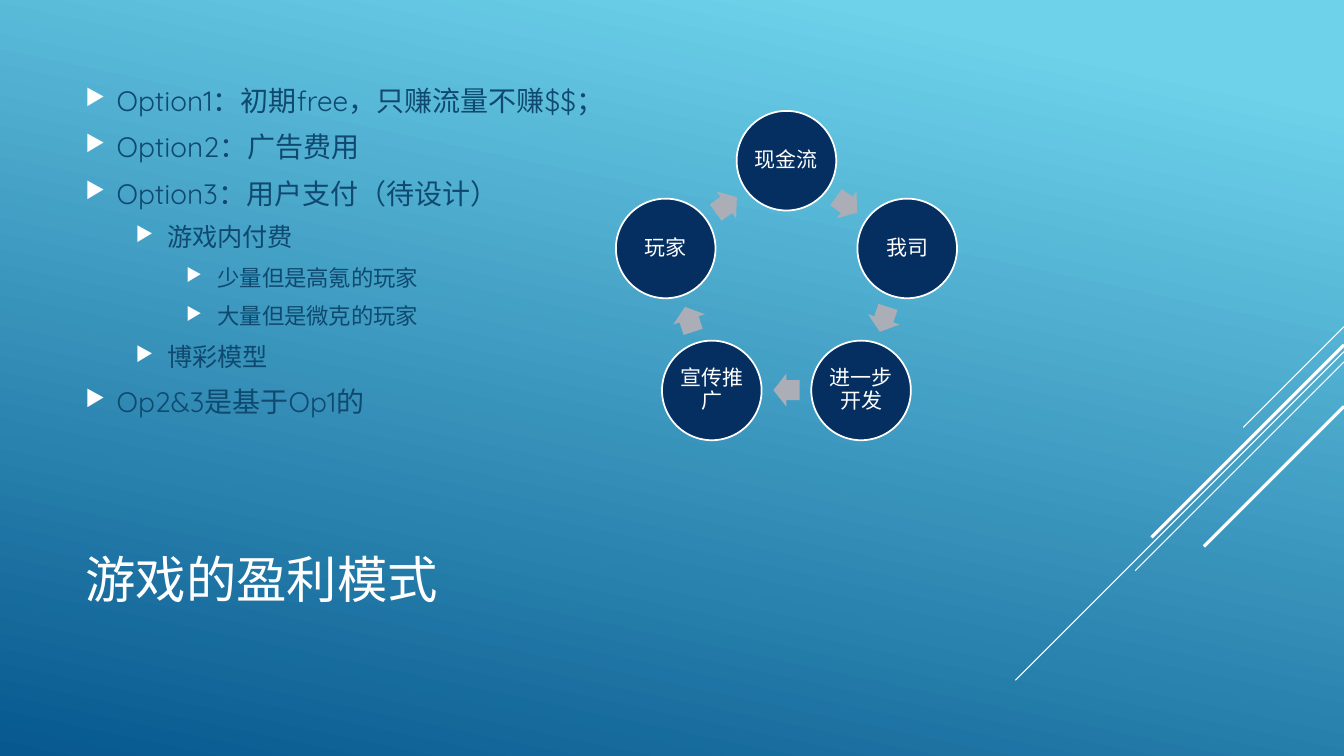
from math import cos, radians, sin

from lxml.etree import SubElement
from pptx import Presentation
from pptx.dml.color import RGBColor
from pptx.enum.shapes import MSO_CONNECTOR, MSO_SHAPE
from pptx.enum.text import MSO_ANCHOR, PP_ALIGN
from pptx.oxml.ns import qn
from pptx.util import Cm, Pt

# Content
TITLE = "游戏的盈利模式"
OPTIONS = [  # level, text
    (0, "Option1：初期free，只赚流量不赚$$；"),
    (0, "Option2：广告费用"),
    (0, "Option3：用户支付（待设计）"),
    (1, "游戏内付费"),
    (2, "少量但是高氪的玩家"),
    (2, "大量但是微克的玩家"),
    (1, "博彩模型"),
    (0, "Op2&3是基于Op1的"),
]
CYCLE = ["现金流", "我司", "进一步开发", "宣传推广", "玩家"]
STREAKS = [  # top at the right edge (cm), reach to the lower left (cm), width (pt)
    (8.23, 2.54, 0.75),
    (8.86, 8.28, 0.75),
    (9.12, 5.26, 0.75),
    (8.69, 4.85, 2.25),
    (10.24, 3.53, 2.25),
]

THEME = {
    "font": "Quicksand",
    "white": RGBColor.from_string("FFFFFF"),
    "body": RGBColor.from_string("0F496F"),
    "circle": RGBColor.from_string("052F61"),
    "arrow": RGBColor.from_string("ABADB7"),
    "sky": [(0.1, RGBColor.from_string("6ED2EB")), (1, RGBColor.from_string("06588E"))],
    "title_size": 36,
    "level_sizes": [20, 18, 16],
    "cycle_size": 15,
}

# Geometry in cm
WIDTH, HEIGHT = 33.87, 19.05
LEFT, TEXT_WIDTH = 1.9, 23.7
HANGING, LEVEL_STEP = 0.79, 1.27
CENTER_X, CENTER_Y = 19.82, 7.25
CIRCLE_RADIUS, ARROW_RADIUS = 3.2, 2.58
CIRCLE, ARROW_LENGTH, ARROW_WIDTH = 2.51, 0.66, 0.84


def apply(target, values):
    for name, value in values.items():
        setattr(target, name, value)


def write(para, text, size, color):
    span = para.add_run()
    span.text = text
    apply(span.font, {"name": THEME["font"], "size": Pt(size)})
    span.font.color.rgb = color


def add_text_box(page, top, height):
    box = page.shapes.add_textbox(Cm(LEFT), Cm(top), Cm(TEXT_WIDTH), Cm(height))
    apply(box.text_frame, {"word_wrap": True, "vertical_anchor": MSO_ANCHOR.MIDDLE})
    return box.text_frame


def add_bullet(para, level):
    properties = para._p.get_or_add_pPr()
    properties.set("marL", str(Cm(HANGING + LEVEL_STEP * level)))
    properties.set("indent", str(-Cm(HANGING)))
    color = SubElement(properties, qn("a:buClr"))
    SubElement(color, qn("a:srgbClr"), val=str(THEME["white"]))
    SubElement(properties, qn("a:buSzPct"), val="80000")
    SubElement(properties, qn("a:buChar"), char="▶")


def add_on_ring(page, kind, angle, radius, width, height, color):
    """Place a shape by its clockwise angle from the top of the ring."""
    x = CENTER_X + radius * sin(radians(angle)) - width / 2
    y = CENTER_Y - radius * cos(radians(angle)) - height / 2
    shape = page.shapes.add_shape(kind, Cm(x), Cm(y), Cm(width), Cm(height))
    shape.shadow.inherit = False
    shape.fill.solid()
    shape.fill.fore_color.rgb = color
    return shape


deck = Presentation()
apply(deck, {"slide_width": Cm(WIDTH), "slide_height": Cm(HEIGHT)})
page = deck.slides.add_slide(deck.slide_layouts[6])

# Background
sky = page.background.fill
sky.gradient()
sky.gradient_angle = 258
for stop, (position, color) in zip(sky.gradient_stops, THEME["sky"]):
    stop.position = position
    stop.color.rgb = color

# Diagonal streaks
for top, reach, width in STREAKS:
    streak = page.shapes.add_connector(
        MSO_CONNECTOR.STRAIGHT, Cm(WIDTH), Cm(top), Cm(WIDTH - reach), Cm(top + reach))
    streak.line.width = Pt(width)
    streak.line.color.rgb = THEME["white"]
    SubElement(streak._element.spPr, qn("a:effectLst"))

# Title
title = add_text_box(page, 12.47, 4.19)
write(title.paragraphs[0], TITLE, THEME["title_size"], THEME["white"])

# Options
options = add_text_box(page, 1.9, 8.84)
for index, (level, text) in enumerate(OPTIONS):
    para = options.add_paragraph() if index else options.paragraphs[0]
    size = THEME["level_sizes"][level]
    apply(para, {"level": level, "space_before": Pt(size * 0.15), "space_after": Pt(6)})
    add_bullet(para, level)
    write(para, text, size, THEME["body"])

# Cycle
step = 360 / len(CYCLE)
for index, text in enumerate(CYCLE):
    angle = index * step
    circle = add_on_ring(page, MSO_SHAPE.OVAL, angle, CIRCLE_RADIUS,
                         CIRCLE, CIRCLE, THEME["circle"])
    circle.line.color.rgb = THEME["white"]
    circle.line.width = Pt(1.25)
    margins = {f"margin_{side}": Cm(0.05) for side in ("left", "right", "top", "bottom")}
    apply(circle.text_frame,
          {"word_wrap": True, "vertical_anchor": MSO_ANCHOR.MIDDLE, **margins})
    para = circle.text_frame.paragraphs[0]
    apply(para, {"alignment": PP_ALIGN.CENTER, "line_spacing": 0.9})
    write(para, text, THEME["cycle_size"], THEME["white"])

    angle += step / 2
    arrow = add_on_ring(page, MSO_SHAPE.RIGHT_ARROW, angle, ARROW_RADIUS,
                        ARROW_LENGTH, ARROW_WIDTH, THEME["arrow"])
    arrow.line.fill.background()
    arrow.rotation = angle
    arrow.adjustments[0] = 0.6

deck.save("out.pptx")
